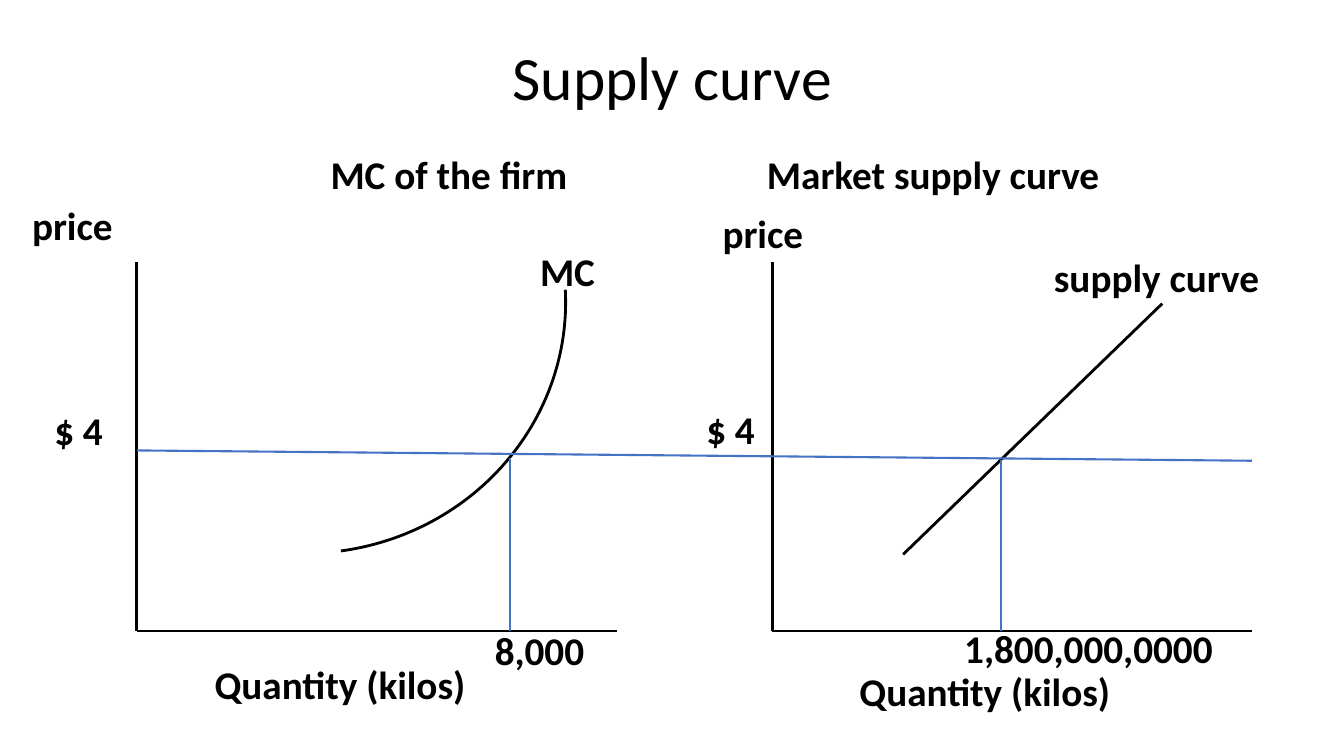
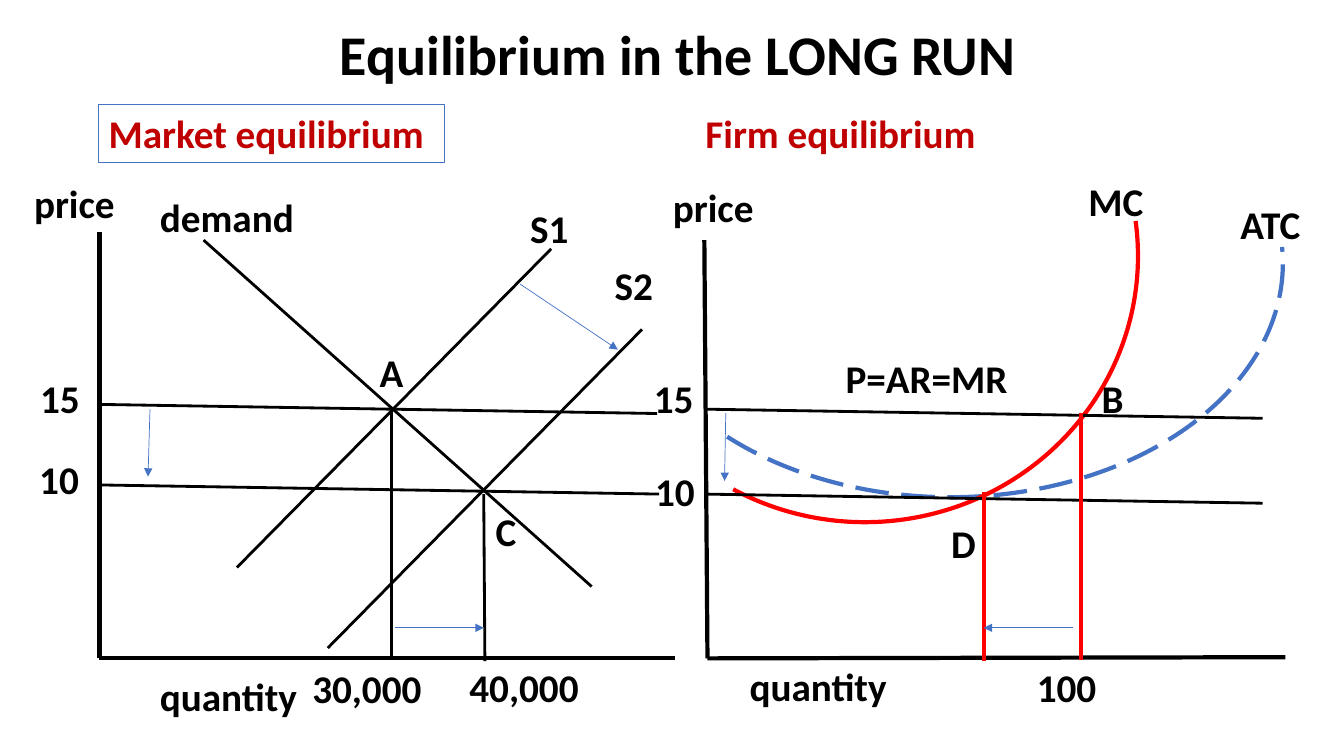
"""Build two slides of supply and equilibrium diagrams."""
from dataclasses import dataclass

from lxml.etree import SubElement
from pptx import Presentation
from pptx.dml.color import RGBColor
from pptx.enum.dml import MSO_LINE as Dash
from pptx.enum.shapes import MSO_CONNECTOR as Link, MSO_SHAPE as Kind
from pptx.enum.text import MSO_ANCHOR as Anchor, MSO_AUTO_SIZE as Fit, PP_ALIGN as Align
from pptx.oxml.ns import qn
from pptx.slide import Slide
from pptx.util import Cm, Pt

FONT = "Calibri"
BLACK, BLUE, RED, CRIMSON = "000000", "4472C4", "FF0000", "C00000"
THIN, GUIDE, CURVE, AXIS = 0.5, 1.5, 2, 3
TALL = 1.45


@dataclass(frozen=True)
class Label:
    """A bold text at a place, with an optional frame."""
    text: str
    x: float
    y: float
    wide: float
    color: str = BLACK
    frame: bool = False


@dataclass(frozen=True)
class Line:
    """A straight line between two points."""
    x1: float
    y1: float
    x2: float
    y2: float
    color: str = BLACK
    width: float = CURVE
    arrow: bool = False


@dataclass(frozen=True)
class Arc:
    """A part of an ellipse between two angles in degrees."""
    x: float
    y: float
    wide: float
    tall: float
    start: float
    end: float
    color: str = BLACK
    width: float = CURVE
    turn: float = 0
    flip: bool = False
    dash: bool = False


def rgb(color: str) -> RGBColor:
    """Turn a hex string into a colour."""
    return RGBColor.from_string(color)


def style(shape, color: str, width: float) -> None:
    """Set the colour and width of an outline."""
    shape.line.color.rgb = rgb(color)
    shape.line.width = Pt(width)


def write(frame, text: str, size: float, color: str = BLACK, bold: bool = True) -> None:
    """Put one formatted paragraph in a text frame."""
    frame.text = text
    frame.word_wrap = True
    font = frame.paragraphs[0].runs[0].font
    font.name, font.size, font.bold = FONT, Pt(size), bold
    font.color.rgb = rgb(color)


def add_title(slide: Slide, text: str, box: tuple, size: float, bold: bool) -> None:
    """Place and format the title placeholder."""
    title = slide.shapes.title
    title.left, title.top, title.width, title.height = map(Cm, box)
    frame = title.text_frame
    write(frame, text, size, bold=bold)
    frame.vertical_anchor = Anchor.MIDDLE
    para = frame.paragraphs[0]
    para.alignment, para.line_spacing = Align.CENTER, 0.9


def add_label(slide: Slide, item: Label) -> None:
    """Draw a label."""
    box = slide.shapes.add_textbox(Cm(item.x), Cm(item.y), Cm(item.wide), Cm(TALL))
    write(box.text_frame, item.text, 28, item.color)
    box.text_frame.auto_size = Fit.SHAPE_TO_FIT_TEXT
    if item.frame:
        style(box, BLUE, 0.75)


def add_line(slide: Slide, item: Line) -> None:
    """Draw a line, with an arrowhead at its end if asked."""
    ends = map(Cm, (item.x1, item.y1, item.x2, item.y2))
    line = slide.shapes.add_connector(Link.STRAIGHT, *ends)
    style(line, item.color, item.width)
    if item.arrow:
        SubElement(line.line._get_or_add_ln(), qn("a:tailEnd"), type="triangle")
    SubElement(line.element.spPr, qn("a:effectLst"))


def add_arc(slide: Slide, item: Arc) -> None:
    """Draw a curve."""
    box = map(Cm, (item.x, item.y, item.wide, item.tall))
    arc = slide.shapes.add_shape(Kind.ARC, *box)
    arc.shadow.inherit = False
    arc.fill.background()
    style(arc, item.color, item.width)
    for i, angle in enumerate((item.start, item.end)):
        arc.adjustments[i] = angle * 0.6
    arc.rotation = item.turn
    if item.flip:
        arc.element.spPr.find(qn("a:xfrm")).set("flipV", "1")
    if item.dash:
        arc.line.dash_style = Dash.LONG_DASH


def draw(slide: Slide, arcs: list[Arc], lines: list[Line], labels: list[Label]) -> None:
    """Draw curves, then lines, then labels."""
    for add, items in ((add_arc, arcs), (add_line, lines), (add_label, labels)):
        for item in items:
            add(slide, item)


def supply(slide: Slide) -> None:
    """Draw the firm's cost curve beside the market supply curve."""
    add_title(slide, "Supply curve", (2.34, 1.02, 29.21, 2.03), 44, False)
    top, base, left, right, span = 6.6, 15.9, 3.45, 19.46, 12.09
    axes = [line for x in (left, right) for line in (
        Line(x, top, x, base), Line(x, base, x + span, base))]
    lines = axes + [
        Line(22.76, 13.97, 29.29, 7.65),
        Line(left, 11.35, right + span, 11.61, BLUE, GUIDE),
        Line(12.85, 11.53, 12.85, base, BLUE, GUIDE),
        Line(25.22, 11.58, 25.22, base, BLUE, GUIDE),
    ]
    arcs = [Arc(1.4, 1.09, 12.6, 13.11, 270, 354.87, turn=87)]
    labels = [
        Label("MC of the firm", 8.08, 3.66, 6.5),
        Label("Market supply curve", 19.08, 3.66, 11.86),
        Label("price", 0.56, 4.95, 3.02),
        Label("price", 17.96, 5.16, 3.02),
        Label("Quantity (kilos)", 5.16, 16.51, 7.01),
        Label("Quantity (kilos)", 21.41, 16.69, 7.01),
        Label("$ 4", 1.12, 10.11, 1.9),
        Label("$ 4", 17.55, 10.08, 1.9),
        Label("8,000", 12.22, 15.67, 3.96),
        Label("1,800,000,0000", 24.05, 15.6, 7.19),
        Label("MC", 13.36, 6.1, 2.03),
        Label("supply curve", 26.31, 6.27, 5.94),
    ]
    draw(slide, arcs, lines, labels)


def long_run(slide: Slide) -> None:
    """Draw the market and the firm in long-run equilibrium."""
    add_title(slide, "Equilibrium in the LONG RUN", (0.3, 0, 33.55, 2.87), 40, True)
    base, flow = 16.59, 15.82
    axes = [
        Line(2.51, 5.84, 2.51, base, width=AXIS),
        Line(2.49, base, 17.02, base, width=AXIS),
        Line(17.75, 6.05, 17.83, base, width=AXIS),
        Line(17.83, base, 32.39, 16.56, width=AXIS),
    ]
    prices = [Line(x, y, x + 14.07, y + 0.23) for x, y in (
        (2.49, 10.19), (17.75, 10.31), (2.54, 12.22), (17.75, 12.45))]
    slopes = [Line(5.13, 6.05, 14.91, 14.78)] + [
        Line(x, y, x + 7.92, y - 8.03) for x, y in ((5.97, 14.3), (8.26, 16.33))]
    drops = [
        Line(9.86, 10.31, 9.86, base),
        Line(12.19, 12.45, 12.22, 16.66),
        Line(27.25, 10.41, 27.25, 16.64, RED, AXIS),
        Line(24.79, 12.4, 24.79, 16.66, RED, AXIS),
    ]
    moves = [Line(*ends, BLUE, THIN, True) for ends in (
        (13.11, 7.16, 15.57, 8.81),
        (3.78, 10.31, 3.73, 12.01),
        (18.29, 10.41, 18.26, 12.12),
        (27.05, flow, 24.79, flow),
        (9.96, flow, 12.19, flow))]
    arcs = [
        Arc(15.57, 0.74, 16.76, 11.79, 217.85, 2.81, BLUE, AXIS, flip=True, dash=True),
        Arc(14.91, -0.25, 13.77, 13.41, 240.56, 7.39, RED, AXIS, flip=True),
    ]
    labels = [
        Label("Market equilibrium", 2.49, 2.64, 8.71, CRIMSON, True),
        Label("Firm equilibrium", 17.53, 2.64, 7.65, CRIMSON),
        Label("price", 0.61, 4.39, 3.02),
        Label("price", 16.71, 4.5, 3.02),
        Label("quantity", 3.78, 16.81, 4.37),
        Label("quantity", 18.64, 16.56, 4.37),
        Label("15", 0.76, 9.3, 1.83),
        Label("15", 16.23, 9.3, 1.83),
        Label("10", 0.74, 11.35, 1.78),
        Label("10", 16.26, 11.66, 1.78),
        Label("30,000", 7.62, 16.61, 3.86),
        Label("40,000", 11.58, 16.59, 3.86),
        Label("100", 25.88, 16.59, 2.36),
        Label("demand", 3.78, 4.75, 3.96),
        Label("S1", 13.11, 5.03, 2.03),
        Label("S2", 15.24, 6.45, 1.78),
        Label("MC", 27.18, 4.34, 2.16),
        Label("ATC", 31.01, 4.93, 2.16),
        Label("P=AR=MR", 21.06, 8.81, 4.95),
        Label("A", 9.32, 8.64, 1.3),
        Label("B", 27.51, 9.3, 1.3),
        Label("C", 12.24, 12.67, 1.3),
        Label("D", 23.72, 12.95, 1.3),
    ]
    draw(slide, arcs, axes + prices + slopes + drops + moves, labels)


def main() -> None:
    """Build and save the deck."""
    deck = Presentation()
    deck.slide_width, deck.slide_height = Cm(33.87), Cm(19.05)
    for build in (supply, long_run):
        build(deck.slides.add_slide(deck.slide_layouts[5]))
    deck.save("out.pptx")


if __name__ == "__main__":
    main()
